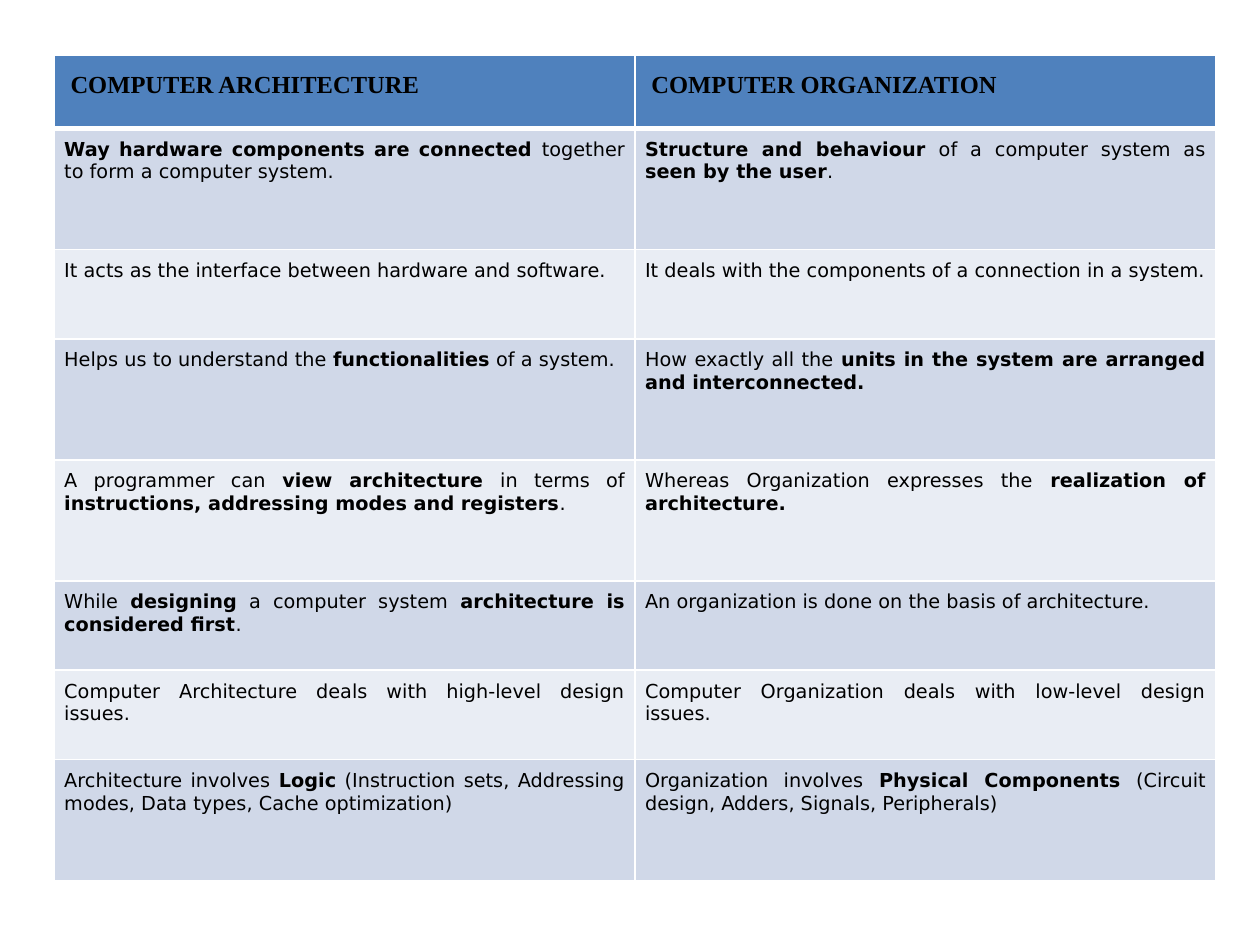
import dataclasses

import pptx
import pptx.dml.color
import pptx.enum.text
import pptx.oxml
import pptx.oxml.ns
import pptx.util

Inches = pptx.util.Inches
Pt = pptx.util.Pt


@dataclasses.dataclass(frozen=True)
class Theme:
    head: str = "4F81BD"
    bands: tuple = ("D0D8E8", "E9EDF4")
    ink: str = "000000"
    rule: str = "FFFFFF"
    head_font: str = "Times New Roman"
    body_font: str = "DejaVu Sans"
    head_size: int = 14
    body_size: int = 11
    thin: int = 1
    thick: int = 3


THEME = Theme()

HEADS = ("COMPUTER ARCHITECTURE", "COMPUTER ORGANIZATION")
HEAD_TALL = 0.58

# Row height in inches, then the two cells; ** marks bold text.
ROWS = [
    (0.96,
     "**Way hardware components are connected **together to form a computer system.",
     "**Structure and behaviour** of a computer system as **seen by the user**."),
    (0.71,
     "It acts as the interface between hardware and software.",
     "It deals with the components of a connection in a system."),
    (0.96,
     "Helps us to understand the **functionalities** of a system.",
     "How exactly all the **units in the system are arranged and interconnected.**"),
    (0.96,
     "A programmer can **view architecture **in terms of "
     "**instructions, addressing modes and registers**.",
     "Whereas Organization expresses the **realization of architecture.**"),
    (0.71,
     "While **designing** a computer system **architecture is considered first**.",
     "An organization is done on the basis of architecture."),
    (0.71,
     "Computer Architecture deals with high-level design issues.",
     "Computer Organization deals with low-level design issues."),
    (0.96,
     "Architecture involves **Logic** (Instruction sets, Addressing modes, "
     "Data types, Cache optimization)",
     "Organization involves **Physical Components** (Circuit design, Adders, "
     "Signals, Peripherals)"),
]


def color(code):
    return pptx.dml.color.RGBColor.from_string(code)


def write(frame, text, *, font, size, ink=THEME.ink):
    """Fill the frame with one justified paragraph, bold between ** marks."""
    para = frame.paragraphs[0]
    para.alignment = pptx.enum.text.PP_ALIGN.JUSTIFY
    for i, part in enumerate(text.split("**")):
        if part:
            run = para.add_run()
            run.text = part
            run.font.name = font
            run.font.size = Pt(size)
            run.font.bold = i % 2 == 1
            run.font.color.rgb = color(ink)


def edge(cell, **widths):
    """Draw cell borders; widths are points keyed by side, L R T B."""
    props = cell._tc.get_or_add_tcPr()
    space = pptx.oxml.ns.nsdecls("a")
    for i, side in enumerate("LRTB"):
        props.insert(i, pptx.oxml.parse_xml(
            f'<a:ln{side} {space} w="{Pt(widths[side])}"><a:solidFill>'
            f'<a:srgbClr val="{THEME.rule}"/></a:solidFill></a:ln{side}>'))


def style(cell, fill, inset, top, base):
    cell.margin_left = cell.margin_right = Inches(inset)
    cell.margin_top = cell.margin_bottom = Inches(inset)
    cell.fill.solid()
    cell.fill.fore_color.rgb = color(fill)
    edge(cell, L=THEME.thin, R=THEME.thin, T=top, B=base)


def head_row(table):
    table.rows[0].height = Inches(HEAD_TALL)
    for cell, text in zip(table.rows[0].cells, HEADS):
        style(cell, THEME.head, 0.13, THEME.thin, THEME.thick)
        write(cell.text_frame, f"**{text}**",
              font=THEME.head_font, size=THEME.head_size)


def body_rows(table):
    for i, (tall, *texts) in enumerate(ROWS):
        row = table.rows[i + 1]
        row.height = Inches(tall)
        top = THEME.thin if i else THEME.thick
        for cell, text in zip(row.cells, texts):
            style(cell, THEME.bands[i % 2], 0.08, top, THEME.thin)
            write(cell.text_frame, text,
                  font=THEME.body_font, size=THEME.body_size)


def compare(slide, left, top, width):
    """Place the two-column comparison table in the given box."""
    tall = HEAD_TALL + sum(row[0] for row in ROWS)
    table = slide.shapes.add_table(
        len(ROWS) + 1, len(HEADS), Inches(left), Inches(top),
        Inches(width), Inches(tall)).table
    head_row(table)
    body_rows(table)


def main():
    deck = pptx.Presentation()
    deck.slide_width = Inches(10)
    deck.slide_height = Inches(7.5)
    slide = deck.slides.add_slide(deck.slide_layouts[6])
    compare(slide, 0.43, 0.44, 9.22)
    deck.save("out.pptx")


if __name__ == "__main__":
    main()
